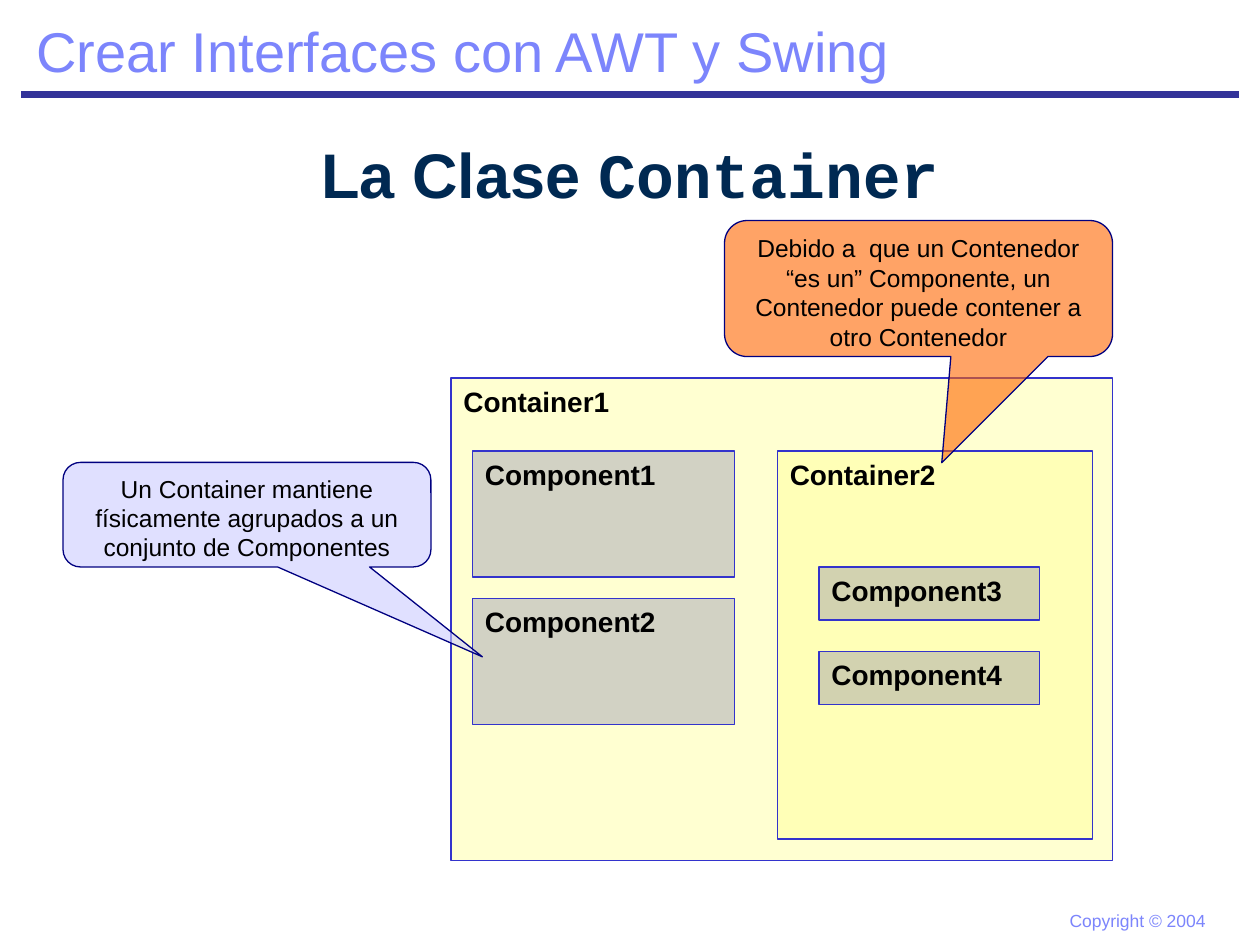
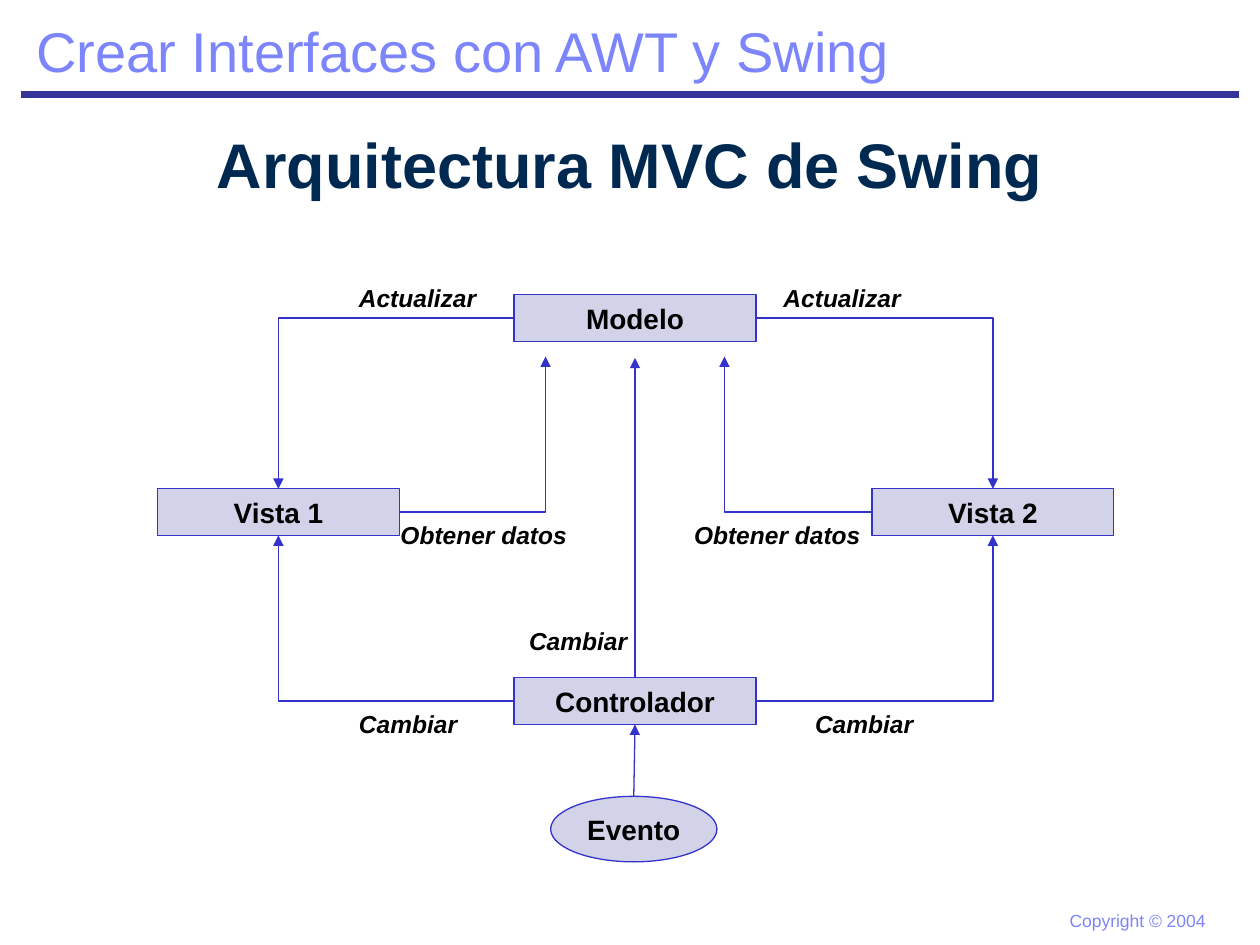
from dataclasses import dataclass

import pptx
import pptx.dml.color
import pptx.enum.shapes
import pptx.enum.text
import pptx.oxml
import pptx.oxml.ns
import pptx.shapes.connector
import pptx.util
from lxml import etree

Inches = pptx.util.Inches
Pt = pptx.util.Pt
RGB = pptx.dml.color.RGBColor.from_string
qn = pptx.oxml.ns.qn
SHAPE = pptx.enum.shapes.MSO_SHAPE
CONNECTOR = pptx.enum.shapes.MSO_CONNECTOR
ALIGN = pptx.enum.text.PP_ALIGN
ANCHOR = pptx.enum.text.MSO_ANCHOR
FIT = pptx.enum.text.MSO_AUTO_SIZE


@dataclass(frozen=True)
class Theme:
    font: str = "Arial"
    mono: str = "Courier New"
    title: str = "002952"
    band: str = "333399"
    header: str = "7C85FC"
    text: str = "000000"
    outline: str = "3333CC"
    callout_outline: str = "000080"
    container: str = "FFFF00"
    component: str = "333399"
    lilac: str = "CCCCFF"
    orange: str = "FF6600"
    title_size: int = 36
    header_size: int = 32
    box_size: int = 16
    note_size: int = 14
    footer_size: int = 10
    thin: float = 0.75
    thick: float = 4.5


T = Theme()


def write(sp, runs, size, color=T.text, bold=False, italic=False, align=ALIGN.LEFT,
          anchor=ANCHOR.TOP, wrap=False, grow=False, after=0):
    """Fill a shape with one paragraph made of (text, font) runs."""
    tf = sp.text_frame
    tf.word_wrap = wrap
    tf.auto_size = FIT.SHAPE_TO_FIT_TEXT if grow else FIT.NONE
    tf.vertical_anchor = anchor
    p = tf.paragraphs[0]
    p.alignment = align
    p.space_before, p.space_after = Pt(0), Pt(after)
    for text, font in runs:
        r = p.add_run()
        r.text = text
        r.font.name, r.font.size = font, Pt(size)
        r.font.bold, r.font.italic = bold, italic
        r.font.color.rgb = RGB(color)


def add_box(s, kind, at, fill, alpha, outline=T.outline):
    """Add an outlined shape whose fill has the given opacity in percent."""
    sp = s.shapes.add_shape(kind, *map(Inches, at))
    sp.shadow.inherit = False
    sp.fill.solid()
    sp.fill.fore_color.rgb = RGB(fill)
    color = sp._element.spPr.find(qn("a:solidFill"))[0]
    etree.SubElement(color, qn("a:alpha")).set("val", str(alpha * 1000))
    sp.line.color.rgb = RGB(outline)
    sp.line.width = Pt(T.thin)
    return sp


prs = pptx.Presentation()
prs.slide_width, prs.slide_height = Inches(10), Inches(7.5)

# Header, rule, footer and title on both slides
titles = [
    (1, [("La Clase ", T.font), ("Container", T.mono)]),
    (0.92, [("Arquitectura MVC de Swing", T.font)]),
]
frame_texts = [
    ((8.39, 7.17, 1.28, 0.27), "Copyright © 2004", T.footer_size),
    ((0.19, 0.08, 7.02, 0.64), "Crear Interfaces con AWT y Swing", T.header_size),
]
for top, runs in titles:
    s = prs.slides.add_slide(prs.slide_layouts[5])
    rule = s.shapes.add_connector(CONNECTOR.STRAIGHT, Inches(0.17), Inches(0.75),
                                  Inches(9.83), Inches(0.75))
    rule.line.color.rgb = RGB(T.band)
    rule.line.width = Pt(T.thick)
    for at, text, size in frame_texts:
        sp = s.shapes.add_textbox(*map(Inches, at))
        write(sp, [(text, T.font)], size, T.header, grow=True)
    title = s.shapes.title
    title.left, title.top = Inches(0), Inches(top)
    title.width, title.height = Inches(10), Inches(0.75)
    write(title, runs, T.title_size, T.title, bold=True, align=ALIGN.CENTER,
          anchor=ANCHOR.MIDDLE, wrap=True)

container_slide, mvc_slide = prs.slides

# Slide 1: nested containers and components
nested_boxes = [
    ("Container1", (3.58, 3, 5.25, 3.83), T.container, 18),
    ("Component1", (3.75, 3.58, 2.08, 1), T.component, 22),
    ("Component2", (3.75, 4.75, 2.08, 1), T.component, 22),
    ("Container2", (6.17, 3.58, 2.5, 3.08), T.container, 12),
    ("Component3", (6.5, 4.5, 1.75, 0.42), T.component, 22),
    ("Component4", (6.5, 5.17, 1.75, 0.42), T.component, 22),
]
for name, at, fill, alpha in nested_boxes:
    sp = add_box(container_slide, SHAPE.RECTANGLE, at, fill, alpha)
    write(sp, [(name, T.font)], T.box_size, bold=True)

# Slide 1: callouts
callouts = [
    ("Un Container mantiene físicamente agrupados a un conjunto de Componentes",
     (0.5, 3.67, 2.92, 0.83), T.lilac, (0.64, 1.36)),
    ("Debido a  que un Contenedor “es un” Componente, un Contenedor puede "
     "contener a otro Contenedor",
     (5.75, 1.75, 3.08, 1.08), T.orange, (0.06, 1.28)),
]
for text, at, fill, tip in callouts:
    sp = add_box(container_slide, SHAPE.ROUNDED_RECTANGULAR_CALLOUT, at, fill, 60,
                 T.callout_outline)
    sp.adjustments[0], sp.adjustments[1] = tip
    write(sp, [(text, T.font)], T.note_size, align=ALIGN.CENTER, wrap=True)

# Slide 2: model, views, controller and event
BOX_W, BOX_H = 1.92, 0.37
nodes = {}
for name, left, top in [("Vista 1", 1.25, 3.88), ("Modelo", 4.08, 2.34),
                        ("Controlador", 4.08, 5.38), ("Vista 2", 6.92, 3.88)]:
    nodes[name] = add_box(mvc_slide, SHAPE.RECTANGLE, (left, top, BOX_W, BOX_H),
                          T.component, 22)
    write(nodes[name], [(name, T.font)], T.box_size, bold=True, align=ALIGN.CENTER,
          anchor=ANCHOR.MIDDLE, wrap=True, grow=True)
nodes["Evento"] = add_box(mvc_slide, SHAPE.OVAL, (4.37, 6.32, 1.32, 0.52), T.component, 22)
write(nodes["Evento"], [("Evento", T.font)], T.box_size, bold=True, align=ALIGN.CENTER,
      anchor=ANCHOR.MIDDLE)
nodes["Evento"].text_frame.margin_left = nodes["Evento"].text_frame.margin_right = 0

# Slide 2: arrows as (kind, start node, side, end node and side or free end point)
TOP, LEFT, BOTTOM, RIGHT = range(4)
arrows = [
    (CONNECTOR.STRAIGHT, "Evento", TOP, ("Controlador", BOTTOM)),
    (CONNECTOR.STRAIGHT, "Controlador", TOP, (5.04, 2.84)),
    (CONNECTOR.ELBOW, "Modelo", LEFT, ("Vista 1", TOP)),
    (CONNECTOR.ELBOW, "Modelo", RIGHT, ("Vista 2", TOP)),
    (CONNECTOR.ELBOW, "Vista 1", RIGHT, (4.33, 2.83)),
    (CONNECTOR.ELBOW, "Vista 2", LEFT, (5.75, 2.83)),
    (CONNECTOR.ELBOW, "Controlador", LEFT, ("Vista 1", BOTTOM)),
    (CONNECTOR.ELBOW, "Controlador", RIGHT, ("Vista 2", BOTTOM)),
]
for kind, start, side, (end, end_side) in arrows:
    c = mvc_slide.shapes.add_connector(kind, 0, 0, 0, 0)
    c.begin_connect(nodes[start], side)
    if end in nodes:
        c.end_connect(nodes[end], end_side)
    else:
        c.end_x, c.end_y = Inches(end), Inches(end_side)
    c.line.color.rgb = RGB(T.outline)
    c.line.width = Pt(T.thin)
    spPr = c._element.spPr
    if kind == CONNECTOR.ELBOW:
        spPr.find(qn("a:prstGeom")).set("prst", "bentConnector2")
    etree.SubElement(spPr.find(qn("a:ln")), qn("a:tailEnd")).set("type", "triangle")

# Slide 2: arrow labels
labels = [
    ("Actualizar", 1.13, [(2.75, 2.2), (6.12, 2.2)]),
    ("Cambiar", 0.98, [(2.75, 5.58), (6.37, 5.58), (4.1, 4.92)]),
    ("Obtener datos", 1.52, [(3.08, 4.08), (5.41, 4.08)]),
]
for text, width, places in labels:
    for left, top in places:
        sp = mvc_slide.shapes.add_textbox(*map(Inches, (left, top, width, 0.34)))
        write(sp, [(text, T.font)], T.note_size, bold=True, italic=True, grow=True, after=6)

# No shadow on any line
for s in prs.slides:
    for sp in s.shapes:
        if isinstance(sp, pptx.shapes.connector.Connector):
            etree.SubElement(sp._element.spPr, qn("a:effectLst"))

prs.save("out.pptx")
